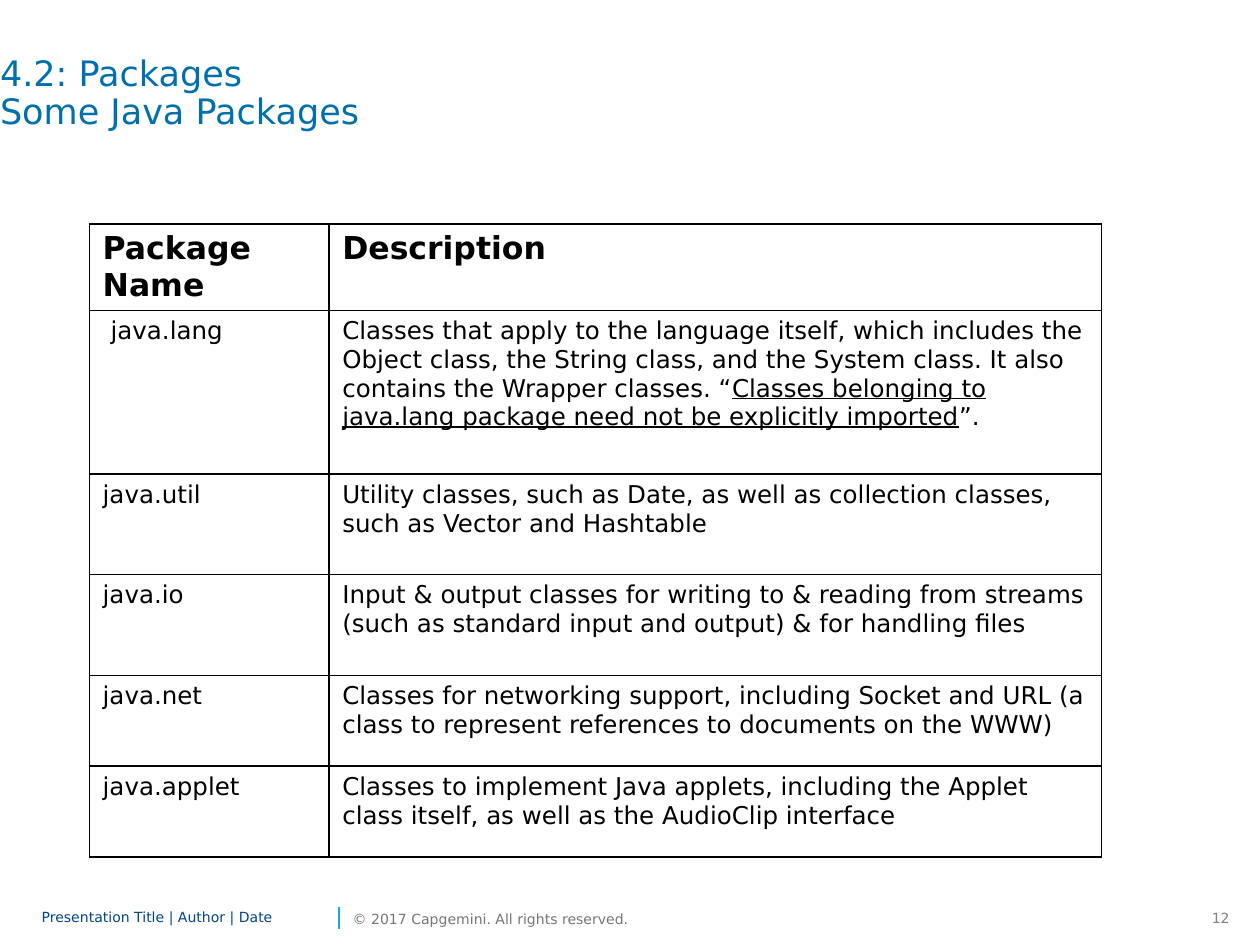
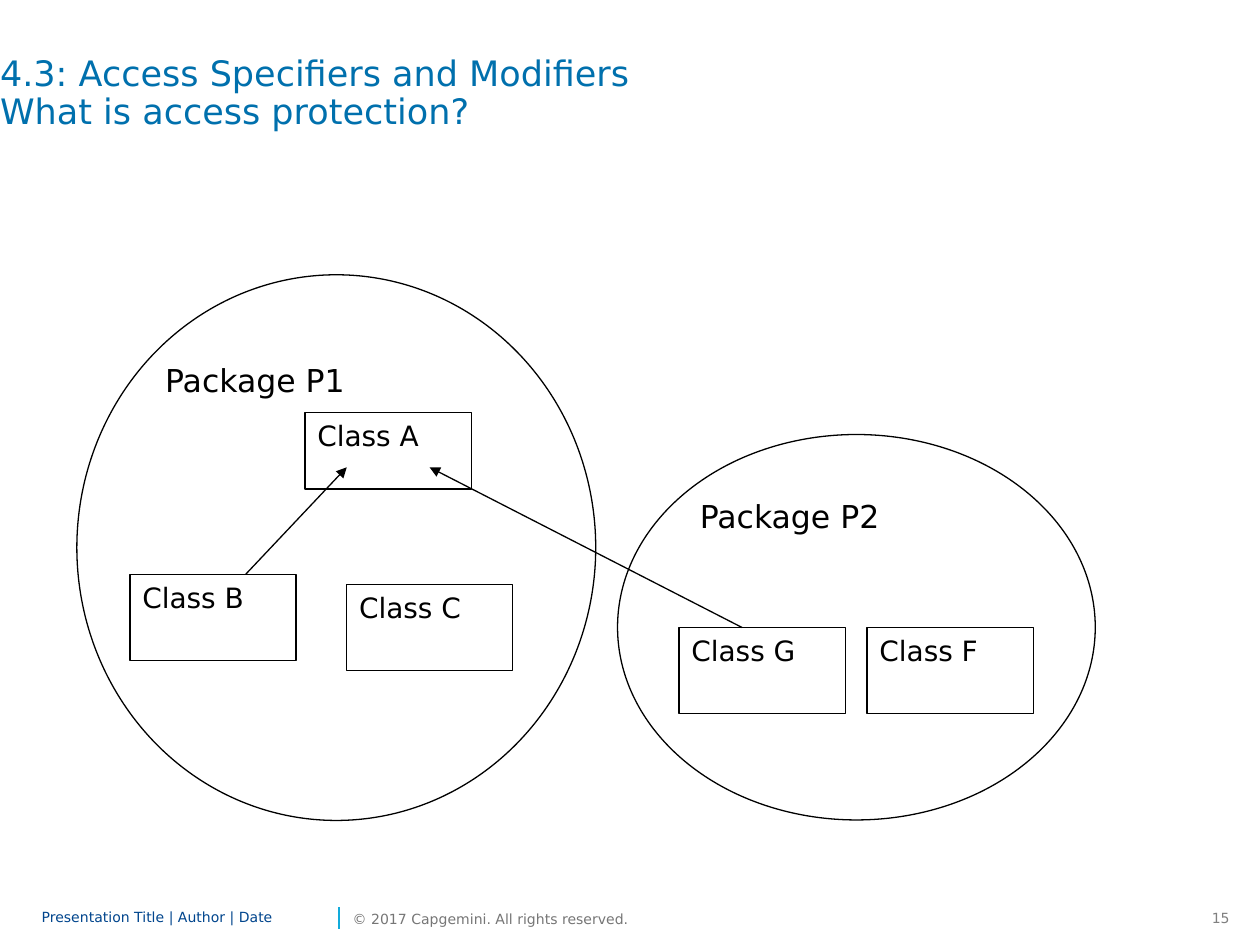
"""Builds two Java lesson slides: a package table and an access diagram."""
from lxml import etree
from pptx import Presentation
from pptx.dml.color import RGBColor
from pptx.enum.shapes import MSO_CONNECTOR, MSO_SHAPE
from pptx.enum.text import MSO_ANCHOR, MSO_AUTO_SIZE, PP_ALIGN
from pptx.oxml.ns import qn
from pptx.util import Cm, Pt

BLACK = RGBColor(0x00, 0x00, 0x00)
WHITE = RGBColor(0xFF, 0xFF, 0xFF)
TITLE_BLUE = RGBColor(0x00, 0x70, 0xAD)
FOOTER_BLUE = RGBColor(0x00, 0x45, 0x8D)
DIVIDER_CYAN = RGBColor(0x12, 0xAB, 0xDB)
COPYRIGHT_GRAY = RGBColor(0x76, 0x76, 0x76)
NUMBER_GRAY = RGBColor(0x80, 0x80, 0x80)
LEFT, RIGHT = PP_ALIGN.LEFT, PP_ALIGN.RIGHT
TOP, MIDDLE = MSO_ANCHOR.TOP, MSO_ANCHOR.MIDDLE
NO_FIT = MSO_AUTO_SIZE.NONE
STRAIGHT = MSO_CONNECTOR.STRAIGHT
ELLIPSE, RECTANGLE = MSO_SHAPE.OVAL, MSO_SHAPE.RECTANGLE
TITLE_ONLY = 5
FONT = "DejaVu Sans"

COLUMN_WIDTHS = (4.83, 15.57)
ROW_HEIGHTS = (1.73, 3.3, 2.03, 2.03, 1.83, 1.83)
PACKAGES = (
    ("Package Name", ("Description",)),
    ("java.lang", (
        "Classes that apply to the language itself, which includes the Object class, "
        "the String class, and the System class. It also contains the Wrapper classes. “",
        "Classes belonging to java.lang package need not be explicitly imported",
        "”.")),
    ("java.util", ("Utility classes, such as Date, as well as collection classes, "
                   "such as Vector and Hashtable",)),
    ("java.io", ("Input & output classes for writing to & reading from streams "
                 "(such as standard input and output) & for handling files",)),
    ("java.net", ("Classes for networking support, including Socket and URL "
                  "(a class to represent references to documents on the WWW)",)),
    ("java.applet", ("Classes to implement Java applets, including the Applet class "
                     "itself, as well as the AudioClip interface",)),
)
PACKAGE_ELLIPSES = (
    ("Package P2", 12.45, 8.76, 9.63, 7.77),
    ("Package P1", 1.55, 5.54, 10.46, 11),
)
CLASS_WIDTH = 3.35
CLASS_BOXES = (
    ("Class A", 6.15, 8.31, 1.55),
    ("Class C", 6.99, 11.79, 1.73),
    ("Class B", 2.62, 11.58, 1.73),
    ("Class F", 17.48, 12.65, 1.73),
    ("Class G", 13.69, 12.65, 1.73),
)
ACCESS_ARROWS = ((4.95, 11.58, 6.99, 9.42), (14.96, 12.65, 8.66, 9.42))


class Deck:
    """Holds the shared style and the slide being built."""

    def __init__(self):
        self.presentation = Presentation()
        self.presentation.slide_width = Cm(25.4)
        self.presentation.slide_height = Cm(19.05)
        self.slide = None

    def start_slide(self, title_lines, number):
        layout = self.presentation.slide_layouts[TITLE_ONLY]
        self.slide = self.presentation.slides.add_slide(layout)
        self.footer(number)
        self.title(title_lines)

    def run(self, paragraph, text, size, color=BLACK, bold=False, underline=False):
        run = paragraph.add_run()
        run.text = text
        font = run.font
        font.name, font.size, font.bold, font.underline = FONT, Pt(size), bold, underline
        font.color.rgb = color

    def frame(self, frame, anchor=TOP, inset=None, wrap=True):
        frame.auto_size = NO_FIT
        frame.word_wrap = wrap
        frame.vertical_anchor = anchor
        if inset is not None:
            frame.margin_left = frame.margin_right = Cm(inset)
            frame.margin_top = frame.margin_bottom = Cm(inset)
        return frame.paragraphs[0]

    def title(self, lines):
        title = self.slide.shapes.title
        title.left, title.top, title.width, title.height = Cm(0), Cm(1.14), Cm(23.7), Cm(2.39)
        paragraph = self.frame(title.text_frame, inset=0)
        paragraph.alignment = LEFT
        paragraph.line_spacing = 0.9
        for index, line in enumerate(lines):
            if index:
                paragraph.add_line_break()
            self.run(paragraph, line, 20, TITLE_BLUE)

    def label(self, text, left, width, color, **frame_style):
        box = self.slide.shapes.add_textbox(Cm(left), Cm(18.21), Cm(width), Cm(0.61))
        paragraph = self.frame(box.text_frame, **frame_style)
        self.run(paragraph, text, 8, color)
        return paragraph

    def footer(self, number):
        self.label(str(number), 24.05, 0.99, NUMBER_GRAY, wrap=False).alignment = RIGHT
        self.line(6.83, 18.72, 6.83, 18.29, DIVIDER_CYAN, 1)
        deck_line = self.label("Presentation Title | Author | Date", 0.84, 5.89,
                               FOOTER_BLUE, anchor=MIDDLE, inset=0)
        deck_line.line_spacing = 0.85
        self.label("© 2017 Capgemini. All rights reserved.", 7.11, 4.62,
                   COPYRIGHT_GRAY, anchor=MIDDLE, inset=0, wrap=False)

    def line(self, x1, y1, x2, y2, color=BLACK, width=0.75, arrow=False):
        connector = self.slide.shapes.add_connector(STRAIGHT, Cm(x1), Cm(y1), Cm(x2), Cm(y2))
        connector.line.color.rgb = color
        connector.line.width = Pt(width)
        if arrow:
            outline = connector.line._get_or_add_ln()
            etree.SubElement(outline, qn("a:tailEnd"), type="triangle")
        etree.SubElement(connector._element.spPr, qn("a:effectLst"))

    def shape(self, preset, text, size, left, top, width, height):
        shape = self.slide.shapes.add_shape(preset, Cm(left), Cm(top), Cm(width), Cm(height))
        shape.shadow.inherit = False
        shape.fill.solid()
        shape.fill.fore_color.rgb = WHITE
        shape.line.color.rgb = BLACK
        shape.line.width = Pt(0.75)
        paragraph = self.frame(shape.text_frame)
        paragraph.alignment = LEFT
        self.run(paragraph, text, size)

    def cell(self, cell, parts, header):
        cell.fill.solid()
        cell.fill.fore_color.rgb = WHITE
        cell.margin_left = cell.margin_right = Cm(0.27)
        cell.margin_top = cell.margin_bottom = Cm(0.13)
        properties = cell._tc.get_or_add_tcPr()
        for index, side in enumerate(("lnL", "lnR", "lnT", "lnB")):
            border = etree.Element(qn(f"a:{side}"), w=str(Pt(1)))
            fill = etree.SubElement(border, qn("a:solidFill"))
            etree.SubElement(fill, qn("a:srgbClr"), val=str(BLACK))
            properties.insert(index, border)
        for index, part in enumerate(parts):
            self.run(cell.text_frame.paragraphs[0], part, 18 if header else 14,
                     bold=header, underline=index == 1)

    def table(self, rows, left, top):
        table = self.slide.shapes.add_table(
            len(rows), len(COLUMN_WIDTHS), Cm(left), Cm(top),
            Cm(sum(COLUMN_WIDTHS)), Cm(sum(ROW_HEIGHTS))).table
        table.first_row = table.horz_banding = False
        for column, width in zip(table.columns, COLUMN_WIDTHS):
            column.width = Cm(width)
        for index, (name, description) in enumerate(rows):
            table.rows[index].height = Cm(ROW_HEIGHTS[index])
            self.cell(table.cell(index, 0), (name,), index == 0)
            self.cell(table.cell(index, 1), description, index == 0)
        return table


def main():
    deck = Deck()
    deck.start_slide(("4.2: Packages", "Some Java Packages"), 12)
    packages = deck.table(PACKAGES, 1.8, 4.52)
    packages.cell(1, 0).margin_left = Cm(0.43)

    deck.start_slide(("4.3: Access Specifiers and Modifiers", "What is access protection?"), 15)
    for name, left, top, width, height in PACKAGE_ELLIPSES:
        deck.shape(ELLIPSE, name, 18, left, top, width, height)
    for name, left, top, height in CLASS_BOXES:
        deck.shape(RECTANGLE, name, 16, left, top, CLASS_WIDTH, height)
    for ends in ACCESS_ARROWS:
        deck.line(*ends, arrow=True)
    deck.presentation.save("out.pptx")


if __name__ == "__main__":
    main()
